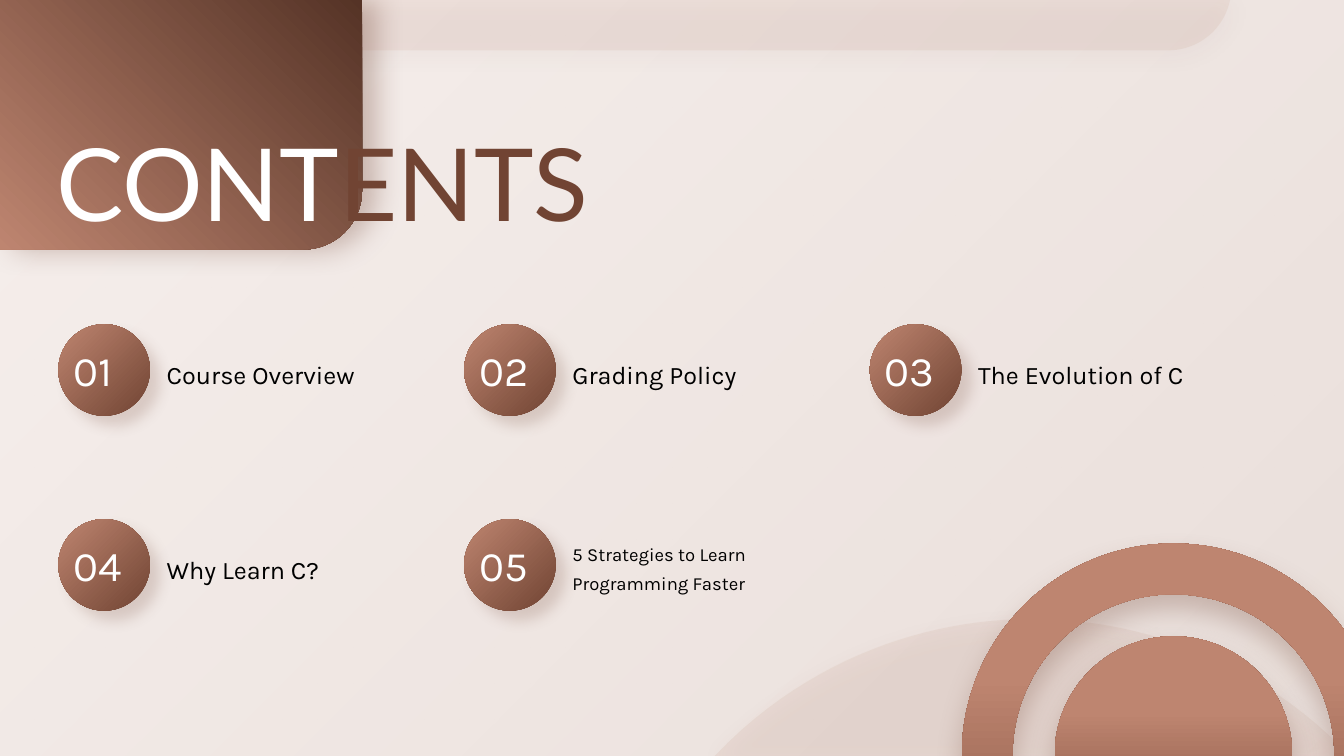
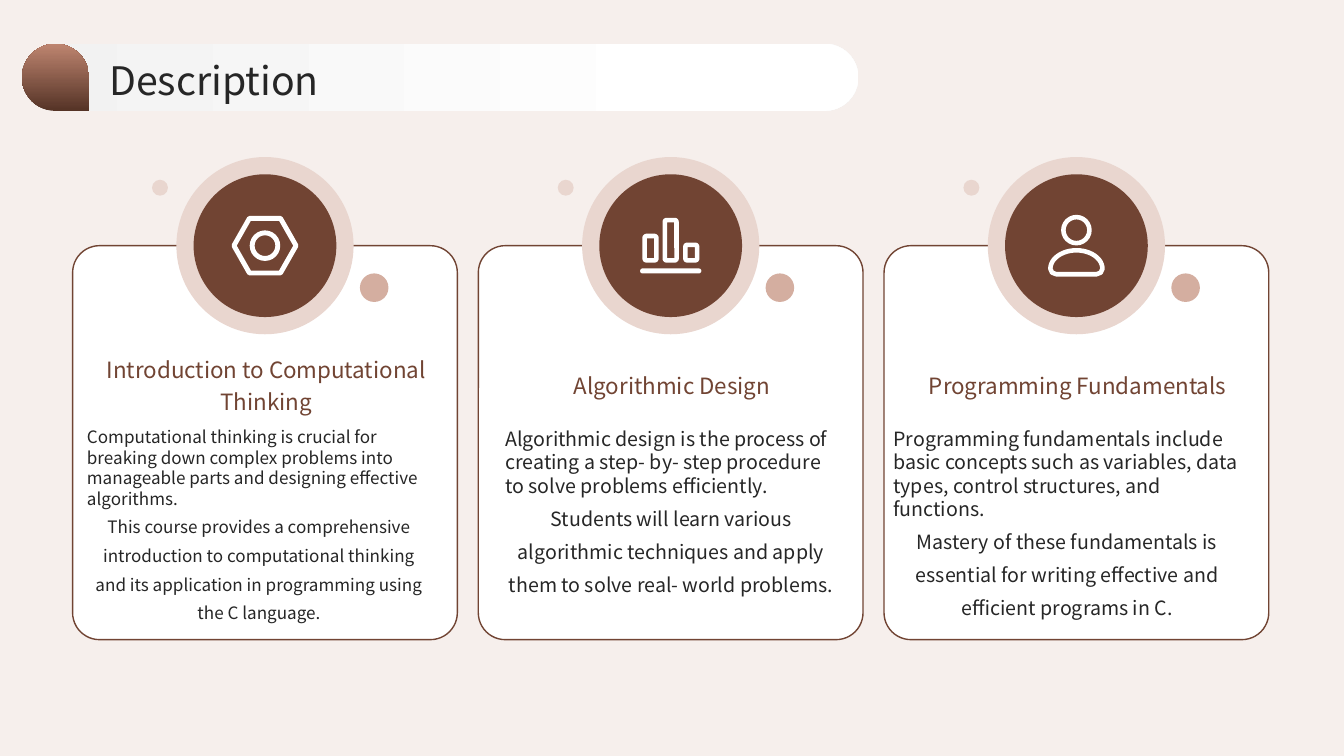
from math import cos, pi, sin, sqrt

from lxml import etree
from pptx import Presentation
from pptx.dml.color import RGBColor
from pptx.enum.shapes import MSO_SHAPE
from pptx.enum.text import MSO_ANCHOR, PP_ALIGN
from pptx.oxml.ns import qn
from pptx.util import Emu, Pt

RECT, ROUND = MSO_SHAPE.RECTANGLE, MSO_SHAPE.ROUNDED_RECTANGLE
OVAL, DONUT, TEAR = MSO_SHAPE.OVAL, MSO_SHAPE.DONUT, MSO_SHAPE.TEAR
TOP, MIDDLE = MSO_ANCHOR.TOP, MSO_ANCHOR.MIDDLE
LEFT, CENTER, JUSTIFY = PP_ALIGN.LEFT, PP_ALIGN.CENTER, PP_ALIGN.JUSTIFY

# Square grid: 160 columns by 90 rows
COLS, ROWS, CELL = 160, 90, 76200
STEP = 48.3  # distance between content columns on both slides

COLORS = {
    "white": "FFFFFF", "black": "000000", "ink": "262626", "mist": "F2F2F2",
    "blush": "E9D6CF", "rose": "D4AEA0", "copper": "BE8570",
    "brown": "714433", "dark": "553326",
}
LATO, KARLA, NOTO = "Lato", "Karla", "Noto Sans CJK SC"


def grid(n):
    return Emu(round(n * CELL))


def color_xml(parent, name, alpha=100):
    clr = etree.SubElement(parent, qn("a:srgbClr"), val=COLORS[name])
    if alpha < 100:
        etree.SubElement(clr, qn("a:alpha"), val=str(alpha * 1000))


def gradient(*stops, angle=None, focus=None):
    """Stops are (position, colour[, alpha]); focus is left, top, right, bottom."""
    grad = etree.Element(qn("a:gradFill"), rotWithShape="1")
    stop_list = etree.SubElement(grad, qn("a:gsLst"))
    for pos, *clr in stops:
        color_xml(etree.SubElement(stop_list, qn("a:gs"), pos=str(pos * 1000)), *clr)
    if focus:
        path = etree.SubElement(grad, qn("a:path"), path="circle")
        sides = {k: str(v * 1000) for k, v in zip("ltrb", focus)}
        etree.SubElement(path, qn("a:fillToRect"), **sides)
    else:
        etree.SubElement(grad, qn("a:lin"), ang=str(angle * 60000), scaled="0")
    return grad


class Deck:
    """Holds the style and the slide being drawn; lengths are grid cells."""

    def __init__(self):
        self.prs = Presentation()
        self.prs.slide_width, self.prs.slide_height = grid(COLS), grid(ROWS)

    def new_slide(self):
        self.shapes = self.prs.slides.add_slide(self.prs.slide_layouts[6]).shapes
        self.shape(RECT, 0, 0, COLS, ROWS, ("blush", 39))

    def paint(self, s, fill, line=None, shadow=None):
        """Fill: None, colour, (colour, alpha) or gradient. Line: (colour, points).
        Shadow: (alpha, blur, distance, direction)."""
        sp_pr = s._element.spPr
        if fill is None:
            s.fill.background()
        elif isinstance(fill, (str, tuple)):
            name, alpha = (fill, 100) if isinstance(fill, str) else fill
            s.fill.solid()
            s.fill.fore_color.rgb = RGBColor.from_string(COLORS[name])
            if alpha < 100:
                clr = sp_pr.find(qn("a:solidFill"))[0]
                etree.SubElement(clr, qn("a:alpha"), val=str(alpha * 1000))
        else:
            s.fill.background()
            sp_pr.replace(sp_pr.find(qn("a:noFill")), fill)
        if line:
            s.line.color.rgb = RGBColor.from_string(COLORS[line[0]])
            s.line.width = Pt(line[1])
        else:
            s.line.fill.background()
        s.shadow.inherit = False
        if shadow:
            alpha, blur, dist, angle = shadow
            outer = etree.SubElement(
                sp_pr.find(qn("a:effectLst")), qn("a:outerShdw"),
                blurRad=str(Pt(blur)), dist=str(Pt(dist)),
                dir=str(angle * 60000), algn="ctr", rotWithShape="0")
            color_xml(outer, "brown", alpha)
        return s

    def shape(self, kind, x, y, w, h, fill, adj=None, flip="", **style):
        s = self.shapes.add_shape(kind, grid(x), grid(y), grid(w), grid(h))
        if adj is not None:
            s.adjustments[0] = adj
        for axis in flip:
            s._element.spPr.xfrm.set("flip" + axis, "1")
        return self.paint(s, fill, **style)

    def disc(self, cx, cy, d, fill, kind=OVAL, **style):
        return self.shape(kind, cx - d / 2, cy - d / 2, d, d, fill, **style)

    def outline(self, points, fill, **style):
        pts = [(grid(x), grid(y)) for x, y in points]
        builder = self.shapes.build_freeform(*pts[0])
        builder.add_line_segments(pts[1:], close=True)
        return self.paint(builder.convert_to_shape(), fill, **style)

    def tab(self, w, h, r, fill, **style):
        """Block hanging from the top left corner, rounded at bottom right."""
        turns = [i * pi / 48 for i in range(25)]
        arc = [(w - r + r * cos(t), max(0, h - r + r * sin(t))) for t in turns]
        self.outline([(0, 0), (w, 0), *arc, (0, h)], fill, **style)

    def text(self, x, y, w, h, paras, size, font, color, anchor=MIDDLE):
        """Paras are (text, alignment, line spacing)."""
        tf = self.shapes.add_textbox(grid(x), grid(y), grid(w), grid(h)).text_frame
        tf.word_wrap, tf.vertical_anchor = True, anchor
        tf.margin_left = tf.margin_top = tf.margin_right = tf.margin_bottom = 0
        for i, (text, align, spacing) in enumerate(paras):
            p = tf.add_paragraph() if i else tf.paragraphs[0]
            p.add_run().text = text
            p.alignment, p.line_spacing = align, spacing
            p.font.size, p.font.name = Pt(size), font
            p.font.color.rgb = RGBColor.from_string(COLORS[color])
        return tf

    # Icons, drawn around a centre
    def nut_icon(self, cx, cy):
        corners = [(-3.7, 0), (-1.85, -3.25), (1.85, -3.25),
                   (3.7, 0), (1.85, 3.25), (-1.85, 3.25)]
        self.outline([(cx + x, cy + y) for x, y in corners], None, line=("white", 3.5))
        self.disc(cx, cy, 3.05, None, line=("white", 3.5))

    def bars_icon(self, cx, cy):
        for x, h in ((-3.1, 2.9), (-0.7, 4.8), (1.75, 1.85)):
            self.shape(ROUND, cx + x, cy + 1.75 - h, 1.4, h, None,
                       adj=0.15, line=("white", 3.25))
        self.shape(ROUND, cx - 3.65, cy + 2.7, 7.3, 0.6, "white", adj=0.5)

    def person_icon(self, cx, cy):
        self.disc(cx, cy - 1.85, 3.1, None, line=("white", 3.25))
        dome = [(cx + 3.1 * cos(i * pi / 24), cy + 2.75 - 2.2 * sin(i * pi / 24))
                for i in range(25)]
        base = [(cx + x, cy + y)
                for x, y in ((-2.9, 3.2), (-2.4, 3.4), (2.4, 3.4), (2.9, 3.2))]
        self.outline(dome + base, None, line=("white", 3.25))

    # Repeated blocks
    def agenda_item(self, x, y, number, label, size):
        d = 10.9
        self.text(x + 12.9, y, 32.6, d, [(label, LEFT, 1.3)], size, KARLA, "black")
        self.shape(OVAL, x, y, d, d,
                   gradient((0, "brown"), (100, "copper"), angle=225),
                   shadow=(20, 10, 10, 45))
        self.text(x + 1.8, y + 2.2, 7.2, 6.4, [(number, LEFT, 1.0)], 30, KARLA, "white")

    def card(self, cx, icon, heading, intro, detail, size, dx, width):
        top = 29.25
        self.shape(ROUND, cx - 22.9, top, 45.8, 46.9, "white",
                   adj=0.07, line=("brown", 1))
        self.disc(cx, top, 21.1, "blush")
        self.disc(cx, top, 17, "brown")
        self.disc(cx - 12.5, top - 6.9, 1.9, "blush")
        self.disc(cx + 13, top + 5, 3.4, "rose")
        icon(cx, top)
        self.text(cx - 19.6, 40.8, 39.5, 9.5, [(heading, CENTER, 1.2)],
                  16, NOTO, "brown")
        self.text(cx - dx, 50.8, width, 22.9,
                  [(intro, LEFT, 1.0), (detail, CENTER, 1.4)],
                  size, NOTO, "ink", TOP)

    def title_bar(self, title):
        self.shape(ROUND, 2.6, 5.2, 99.6, 8, adj=0.5,
                   fill=gradient((0, "mist"), (80, "white"), angle=0))
        drop = self.shape(TEAR, 2.6, 5.2, 8, 8, flip="H",
                          fill=gradient((0, "dark"), (100, "copper"), angle=90))
        drop.rotation = 180
        self.text(13, 6.2, 142.6, 6.1, [(title, LEFT, 1.1)], 28, NOTO, "ink")


def contents_slide(deck):
    deck.new_slide()
    # Backdrop
    soft = (40, 15, 4, 90)
    deck.tab(146.6, 6, 7.5, ("copper", 10), shadow=soft)
    deck.shape(ROUND, 0, 0, COLS, ROWS, adj=0, flip="HV",
               fill=gradient((0, "brown", 10), (100, "brown", 0),
                             focus=(100, 100, 0, 0)))
    left, top, cx, r = 85.1, 73.7, 122.9, 52
    xs = [left + (COLS - left) * i / 48 for i in range(49)]
    hill = [(x, min(ROWS, top + r - sqrt(r * r - (x - cx) ** 2))) for x in xs]
    deck.outline([*hill, (COLS, ROWS), (left, ROWS)], ("copper", 10), shadow=soft)
    deck.tab(43.1, 29.7, 7, shadow=(32, 20, 10, 0),
             fill=gradient((0, "copper"), (100, "dark"), focus=(0, 100, 100, 0)))

    # Title, split where the block ends
    tf = deck.text(6.7, 15.8, 73.9, 10.1, [("CONT", JUSTIFY, 1.1)], 72, LATO, "white")
    r = tf.paragraphs[0].add_run()
    r.text = "ENTS"
    r._r.get_or_add_rPr().append(
        gradient((0, "brown"), (100, "copper"), focus=(0, 100, 100, 0)))

    # Rings
    for d, adj in ((50.4, 0.12), (28.3, 0.5)):
        deck.disc(139.7, 89.9, d, kind=DONUT, adj=adj, shadow=(30, 20, 11, 90),
                  fill=gradient((0, "brown"), (68, "copper"), angle=270))

    # Agenda
    items = [("Course Overview", 18), ("Grading Policy", 18),
             ("The Evolution of C", 18), ("Why Learn C?", 18),
             ("5 Strategies to Learn Programming Faster", 13.2)]
    for i, (label, size) in enumerate(items):
        row, col = divmod(i, 3)
        deck.agenda_item(6.95 + col * STEP, 38.6 + row * 23.2,
                         f"{i + 1:02}", label, size)


def description_slide(deck):
    deck.new_slide()
    cards = [
        (deck.nut_icon, "Introduction to Computational Thinking",
         "Computational thinking is crucial for breaking down complex problems into "
         "manageable parts and designing effective algorithms.",
         "This course provides a comprehensive introduction to computational thinking "
         "and its application in programming using the C language.",
         12.2, 21.2, 41),
        (deck.bars_icon, "Algorithmic Design",
         "Algorithmic design is the process of creating a step- by- step procedure "
         "to solve problems efficiently.",
         "Students will learn various algorithmic techniques and apply them to solve "
         "real- world problems.",
         14, 19.7, 39.5),
        (deck.person_icon, "Programming Fundamentals",
         "Programming fundamentals include basic concepts such as variables, data "
         "types, control structures, and functions.",
         "Mastery of these fundamentals is essential for writing effective and "
         "efficient programs in C.",
         14, 21.8, 41.4),
    ]
    for i, card in enumerate(cards):
        deck.card(31.55 + i * STEP, *card)
    deck.title_bar("Description")


def main():
    deck = Deck()
    contents_slide(deck)
    description_slide(deck)
    deck.prs.save("out.pptx")


if __name__ == "__main__":
    main()
